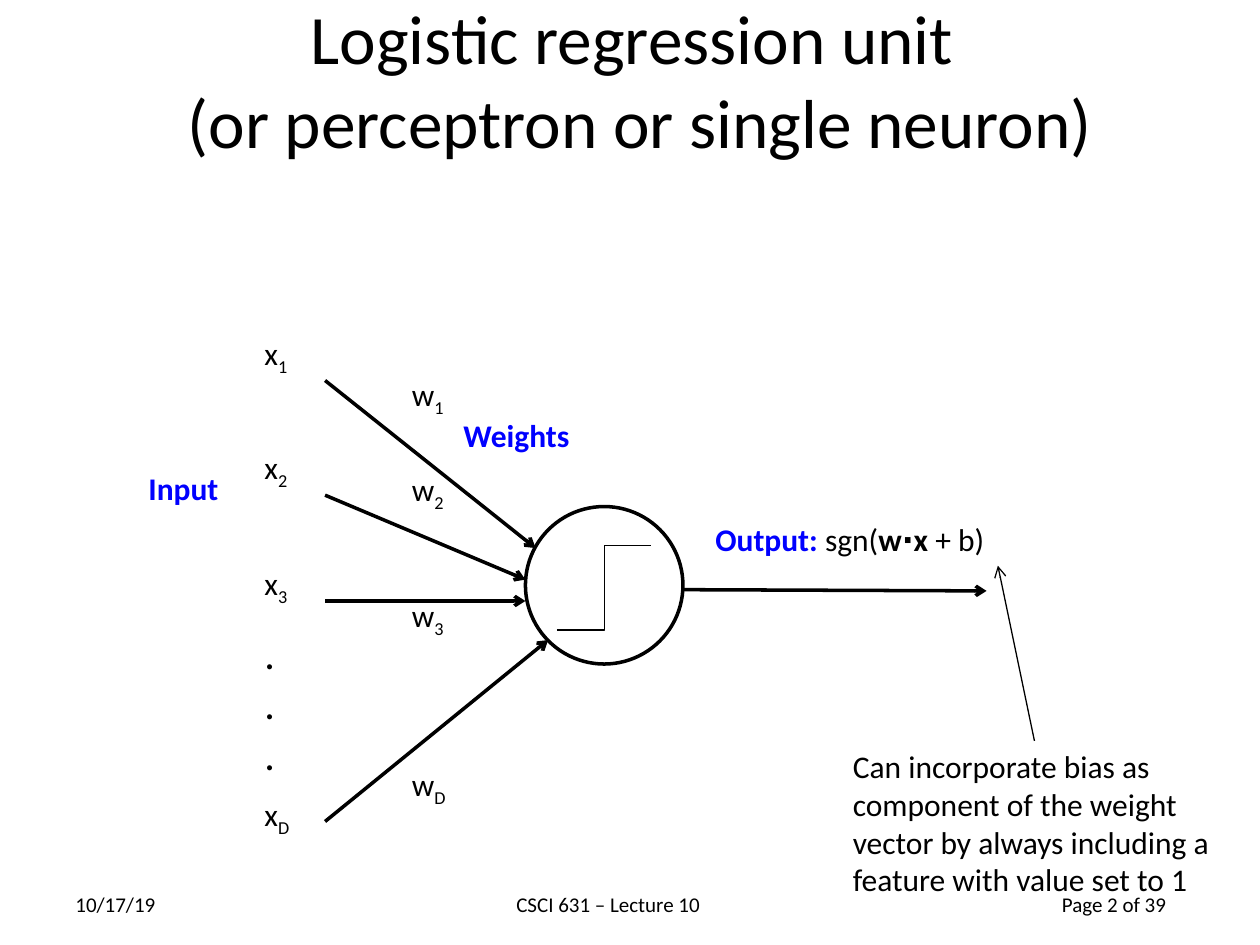
from dataclasses import dataclass

from lxml.etree import SubElement
from pptx import Presentation
from pptx.dml.color import RGBColor
from pptx.enum.shapes import MSO_CONNECTOR as Connector, MSO_SHAPE as Shape
from pptx.enum.text import MSO_ANCHOR as Anchor, MSO_AUTO_SIZE as AutoSize, PP_ALIGN as Align
from pptx.oxml.ns import qn
from pptx.util import Inches, Pt


@dataclass(frozen=True)
class Theme:
    font: str = "Calibri"
    ink: RGBColor = RGBColor(0, 0, 0)
    accent: RGBColor = RGBColor(0, 0, 255)
    title: float = 39.6
    body: float = 18
    dots: float = 24
    footer: float = 12
    heavy: float = 2
    thin: float = 0.75


THEME = Theme()


def add_span(para, text, size=THEME.body, color=THEME.ink, bold=False, subscript=False):
    span = para.add_run()
    span.text = text
    font = span.font
    font.name, font.size, font.bold = THEME.font, Pt(size), bold
    font.color.rgb = color
    if subscript:
        span._r.get_or_add_rPr().set("baseline", "-25000")


def add_text(page, left, top, width, height, paragraphs, wrap=False, **style):
    """Place paragraphs, each a list of (text, format) spans that refine the shared style."""
    box = page.shapes.add_textbox(Inches(left), Inches(top), Inches(width), Inches(height))
    frame = box.text_frame
    frame.word_wrap = wrap
    for index, spans in enumerate(paragraphs):
        para = frame.paragraphs[0] if index == 0 else frame.add_paragraph()
        for text, extra in spans:
            add_span(para, text, **{**style, **extra})


def add_label(page, left, top, width, text, **style):
    add_text(page, left, top, width, 0.4, [[(text, {})]], **style)


def add_variable(page, left, top, letter, index):
    add_text(page, left, top, 0.49, 0.4, [[(letter, {}), (index, {"subscript": True})]])


def add_line(page, start, end, weight=THEME.heavy, kind=Connector.STRAIGHT, arrow=True):
    line = page.shapes.add_connector(kind, *map(Inches, (*start, *end)))
    line.line.color.rgb = THEME.ink
    line.line.width = Pt(weight)
    if arrow:
        SubElement(line.line._get_or_add_ln(), qn("a:tailEnd"), type="arrow")
    SubElement(line._element.spPr, qn("a:effectLst"))


def fill_title(page, left, top, width, height):
    title = page.shapes.title
    title.left, title.top, title.width, title.height = map(Inches, (left, top, width, height))
    frame = title.text_frame
    frame.auto_size = AutoSize.NONE
    frame.word_wrap = True
    frame.vertical_anchor = Anchor.MIDDLE
    para = frame.paragraphs[0]
    para.alignment = Align.CENTER
    add_span(para, "Logistic regression unit ", size=THEME.title)
    para.add_line_break()
    add_span(para, "(or perceptron or single neuron)", size=THEME.title)


def add_neuron(page, left, top, size):
    """Draw the unit's circle with its step function inside."""
    circle = page.shapes.add_shape(Shape.OVAL, *map(Inches, (left, top, size, size)))
    circle.shadow.inherit = False
    circle.fill.background()
    circle.line.color.rgb = THEME.ink
    circle.line.width = Pt(THEME.heavy)
    add_line(page, (left + 0.25, top + 0.98), (left + 1, top + 0.31),
             weight=THEME.thin, kind=Connector.ELBOW, arrow=False)


def add_inputs(page, left, top):
    """Draw the inputs, their weights and the arrows into the neuron."""
    # index, input top, weight top, arrow start height, arrow end
    rows = [
        ("1", 0.1, 0.43, 0.52, (3.25, 1.85)),
        ("2", 1.01, 1.18, 1.43, (3.17, 2.1)),
        ("3", 1.93, 2.18, 2.27, (3.17, 2.27)),
        ("D", 3.76, 3.52, 4.02, (3.35, 2.58)),
    ]
    for index, input_top, weight_top, start, (end_x, end_y) in rows:
        add_variable(page, left + 1, top + input_top, "x", index)
        add_variable(page, left + 2.17, top + weight_top, "w", index)
        add_line(page, (left + 1.58, top + start), (left + end_x, top + end_y))
    add_text(page, left + 1, top + 2.43, 0.29, 1.31, [[(".", {})]] * 3, size=THEME.dots)
    add_label(page, left + 0.08, top + 1.17, 0.82, "Input", color=THEME.accent, bold=True)
    add_label(page, left + 2.58, top + 0.75, 1.18, "Weights", color=THEME.accent, bold=True)


def add_output(page, left, top):
    """Draw the output arrow with its formula and the note on the bias."""
    add_line(page, (left, top + 0.6), (left + 2.41, top + 0.61))
    formula = [
        ("Output: ", {"color": THEME.accent, "bold": True}),
        ("sgn(", {}),
        ("w⋅x ", {"bold": True}),
        ("+ b)", {}),
    ]
    add_text(page, left + 0.16, top, 2.6, 0.4, [formula])
    note = ("Can incorporate bias as component of the weight vector "
            "by always including a feature with value set to 1")
    add_text(page, left + 1.25, top + 1.8, 3.08, 1.62, [[(note, {})]], wrap=True)
    add_line(page, (left + 2.79, top + 1.8), (left + 2.5, top + 0.41), weight=THEME.thin)


def add_footer(page, top):
    for left, width, text in [
        (0.5, 0.92, "10/17/19"),
        (4, 1.83, "CSCI 631 – Lecture 10"),
        (8.33, 1.17, "Page 2 of 39"),
    ]:
        add_label(page, left, top, width, text, size=THEME.footer)


def main():
    deck = Presentation()
    deck.slide_width, deck.slide_height = Inches(10), Inches(7.5)
    page = deck.slides.add_slide(deck.slide_layouts.get_by_name("Title Only"))
    add_footer(page, top=7.03)
    fill_title(page, 0.58, 0, 9, 1.25)
    add_neuron(page, 4.17, 4.02, 1.25)
    add_inputs(page, 1, 2.5)
    add_output(page, 5.42, 4.08)
    deck.save("out.pptx")


if __name__ == "__main__":
    main()
